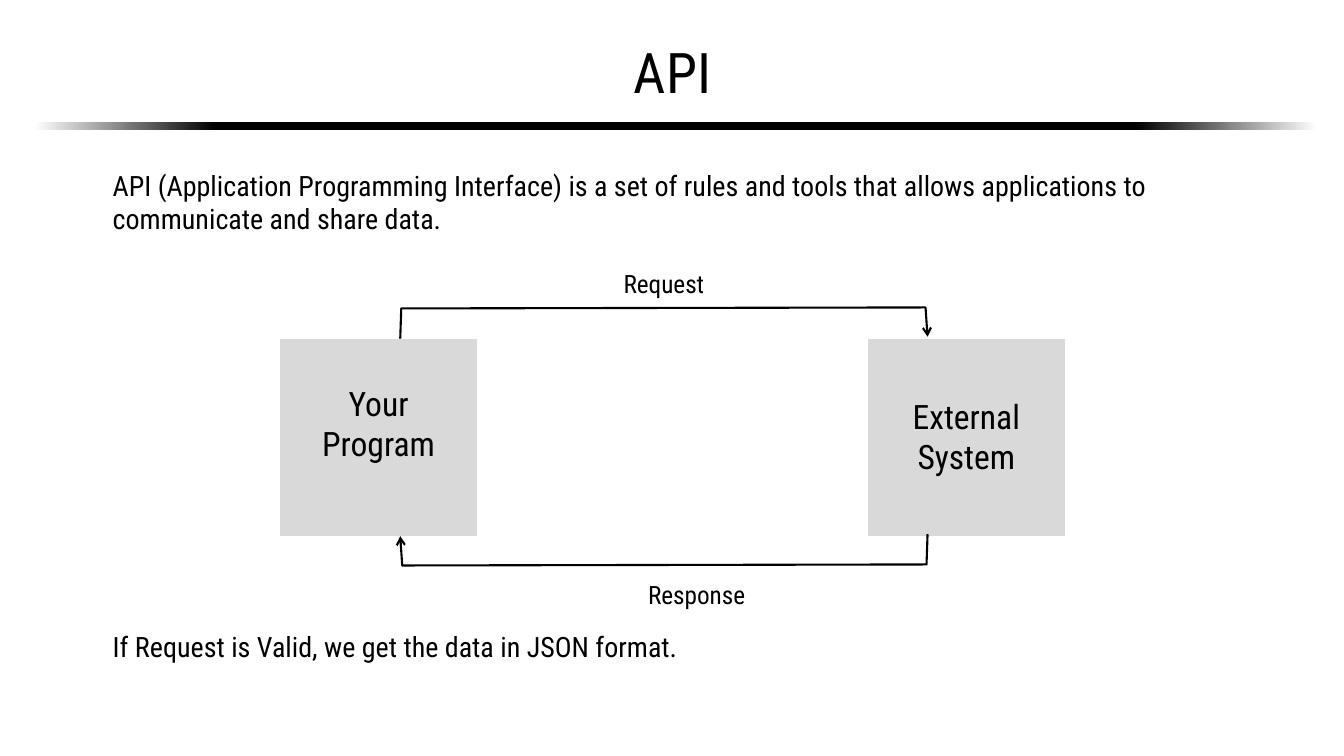
from lxml import etree
from pptx import Presentation
from pptx import util as u
from pptx.dml.color import RGBColor
from pptx.enum import shapes, text
from pptx.oxml import ns

FONT = "Roboto Condensed"
COLORS = {"ink": "000000", "paper": "FFFFFF", "block": "D9D9D9"}


def color(name):
    return RGBColor.from_string(COLORS[name])


def add_label(slide, words, left, top, width, height, size,
              align=text.PP_ALIGN.CENTER, anchor=text.MSO_ANCHOR.TOP, spacing=None):
    box = slide.shapes.add_textbox(*map(u.Inches, (left, top, width, height)))
    frame = box.text_frame
    frame.word_wrap = True
    frame.vertical_anchor = anchor
    para = frame.paragraphs[0]
    para.alignment = align
    if spacing:
        para.line_spacing = spacing
    span = para.add_run()
    span.text = words
    span.font.name = FONT
    span.font.size = u.Pt(size)
    span.font.color.rgb = color("ink")


def add_rect(slide, left, top, width, height):
    rect = slide.shapes.add_shape(shapes.MSO_SHAPE.RECTANGLE,
                                  *map(u.Inches, (left, top, width, height)))
    rect.shadow.inherit = False
    return rect


def add_block(slide, left, top, side):
    block = add_rect(slide, left, top, side, side)
    block.fill.solid()
    block.fill.fore_color.rgb = color("block")
    block.line.color.rgb = color("paper")
    block.line.width = u.Pt(1)


def add_fading_rule(slide, left, top, width, height, stops):
    rule = add_rect(slide, left, top, width, height)
    rule.line.fill.background()
    rule.fill.gradient()
    rule.fill.gradient_angle = 0
    # The gradient needs more stops than the default two
    stop_list = next(rule.element.iter(ns.qn("a:gsLst")))
    for stop in list(stop_list):
        stop_list.remove(stop)
    for percent, name in stops:
        stop = etree.SubElement(stop_list, ns.qn("a:gs"), pos=str(percent * 1000))
        etree.SubElement(stop, ns.qn("a:srgbClr"), val=COLORS[name])


def add_arrow_path(slide, points):
    start, *rest = [(u.Inches(x), u.Inches(y)) for x, y in points]
    builder = slide.shapes.build_freeform(*start)
    builder.add_line_segments(rest, close=False)
    arrow = builder.convert_to_shape()
    arrow.shadow.inherit = False
    arrow.fill.background()
    arrow.line.color.rgb = color("ink")
    arrow.line.width = u.Pt(1.5)
    line = next(arrow.element.iter(ns.qn("a:ln")))
    etree.SubElement(line, ns.qn("a:tailEnd"), type="arrow")


def main():
    deck = Presentation()
    deck.slide_width, deck.slide_height = u.Inches(13.33), u.Inches(7.5)
    slide = deck.slides.add_slide(deck.slide_layouts[6])
    left_align = text.PP_ALIGN.LEFT

    # Title and rule
    add_label(slide, "API", 0.92, 0.28, 11.5, 0.93, 40,
              anchor=text.MSO_ANCHOR.MIDDLE, spacing=0.9)
    add_fading_rule(slide, 0.34, 1.21, 12.85, 0.08,
                    [(0, "paper"), (14, "ink"), (85, "ink"), (99, "paper")])

    # Definition
    add_label(slide, "API (Application Programming Interface) is a set of rules and tools "
              "that allows applications to communicate and share data.",
              1.02, 1.62, 11.5, 0.77, 20, left_align)

    # The two parties
    for name, left, label_top in (("Your Program", 2.77, 3.75),
                                  ("External System", 8.6, 3.88)):
        add_block(slide, left, 3.36, 1.97)
        add_label(slide, name, left + 0.25, label_top, 1.47, 0.92, 24)

    # Request and response
    add_arrow_path(slide, [(9.2, 5.3), (9.19, 5.6), (3.99, 5.61), (3.97, 5.32)])
    add_arrow_path(slide, [(3.97, 3.36), (3.98, 3.06), (9.18, 3.05), (9.2, 3.34)])
    add_label(slide, "Request", 5.42, 2.61, 2.33, 0.4, 18)
    add_label(slide, "Response", 5.46, 5.7, 2.9, 0.4, 18)

    # Outcome
    add_label(slide, "If Request is Valid, we get the data in JSON format.",
              1.02, 6.2, 6.73, 0.44, 20, left_align)

    deck.save("out.pptx")


if __name__ == "__main__":
    main()
